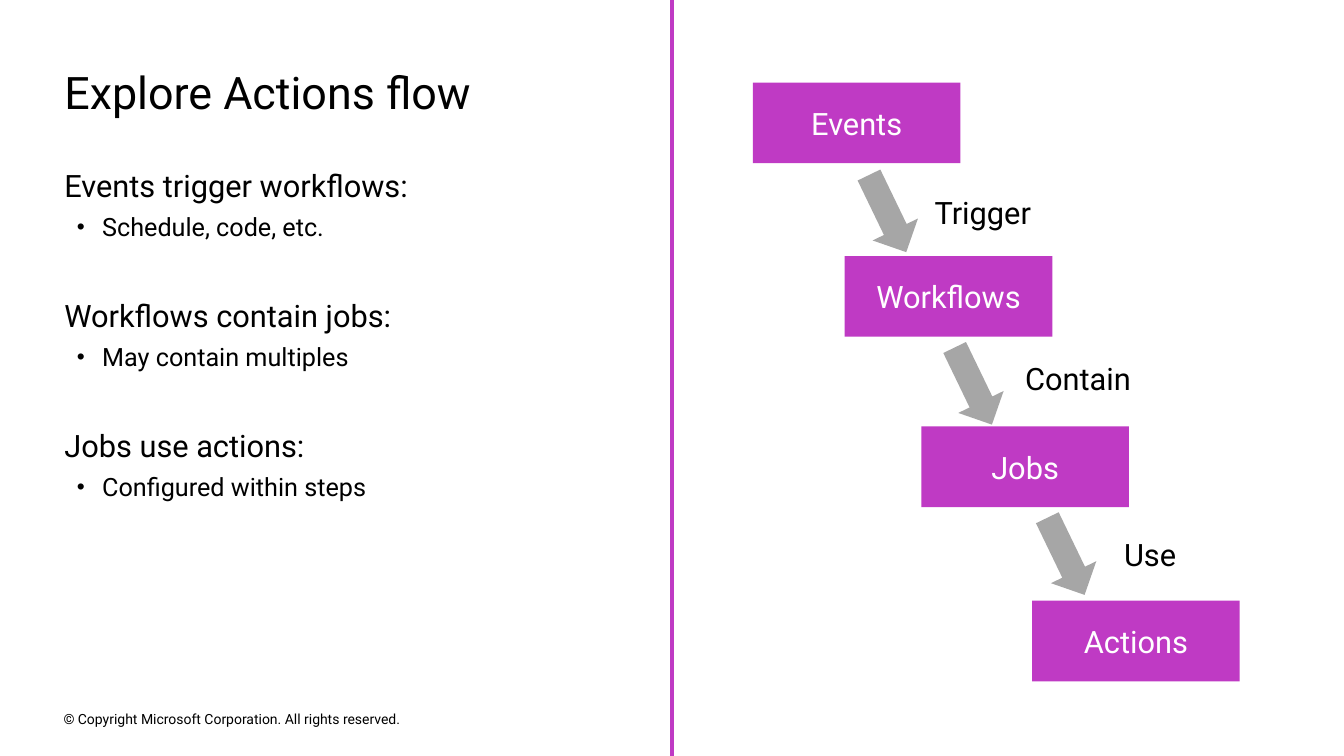
from lxml import etree
from pptx import Presentation
from pptx.dml.color import RGBColor
from pptx.enum import shapes, text
from pptx.oxml import ns
from pptx.util import Pt

FONT = "Roboto"
PURPLE, GRAY, BLACK, WHITE = "BF3AC4", "A6A6A6", "000000", "FFFFFF"
LEFT, WIDTH, HEIGHT = 46, 960, 540
TOPICS = [
    ("Events trigger workflows:", "Schedule, code, etc."),
    ("Workflows contain jobs:", "May contain multiples"),
    ("Jobs use actions:", "Configured within steps"),
]
STAGES = [
    ("Events", 537.8, 59),
    ("Workflows", 603.4, 182.9),
    ("Jobs", 658.1, 304.6),
    ("Actions", 737.3, 429.1),
]
# Arrow left and top, then label, its left, top and width
STEPS = [
    (603.4, 134.6, "Trigger", 650.2, 138.2, 103.7),
    (664.6, 257.8, "Contain", 713.5, 257, 113),
    (730.8, 379.4, "Use", 769.7, 382.3, 103.7),
]


def color(value):
    return RGBColor.from_string(value)


def set_frame(shape, anchor=text.MSO_ANCHOR.TOP, inset_x=0, inset_y=0):
    formats = {
        "margin_left": Pt(inset_x), "margin_right": Pt(inset_x),
        "margin_top": Pt(inset_y), "margin_bottom": Pt(inset_y),
        "word_wrap": True, "vertical_anchor": anchor,
        "auto_size": text.MSO_AUTO_SIZE.NONE,
    }
    for name, value in formats.items():
        setattr(shape.text_frame, name, value)
    return shape.text_frame


def write(paragraph, words, size, ink=BLACK, align=text.PP_ALIGN.LEFT):
    paragraph.text = words
    paragraph.alignment = align
    for name, value in {"size": Pt(size), "name": FONT, "bold": False}.items():
        setattr(paragraph.font, name, value)
    paragraph.font.color.rgb = color(ink)


def add_bullet(paragraph):
    properties = paragraph._p.get_or_add_pPr()
    properties.set("marL", str(Pt(27)))
    properties.set("indent", str(Pt(-18)))
    for tag, name, value in [("a:buSzPct", "val", "90000"),
                             ("a:buFont", "typeface", "Arial"),
                             ("a:buChar", "char", "•")]:
        etree.SubElement(properties, ns.qn(tag)).set(name, value)


def add_label(slide, words, left, top, width, height, size,
              align=text.PP_ALIGN.LEFT):
    box = slide.shapes.add_textbox(Pt(left), Pt(top), Pt(width), Pt(height))
    frame = set_frame(box, text.MSO_ANCHOR.MIDDLE)
    write(frame.paragraphs[0], words, size, align=align)


def add_topic(slide, heading, detail, top):
    box = slide.shapes.add_textbox(Pt(LEFT), Pt(top), Pt(371.5), Pt(55))
    frame = set_frame(box)
    lead = frame.paragraphs[0]
    lead.space_after = Pt(6)
    write(lead, heading, 22)
    point = frame.add_paragraph()
    point.space_after = Pt(12)
    add_bullet(point)
    write(point, detail, 18)


def add_block(slide, kind, left, top, width, height, fill):
    block = slide.shapes.add_shape(kind, Pt(left), Pt(top), Pt(width), Pt(height))
    block.shadow.inherit = False
    block.fill.solid()
    block.fill.fore_color.rgb = color(fill)
    block.line.fill.background()
    return block


def add_stage(slide, name, left, top):
    stage = add_block(slide, shapes.MSO_SHAPE.RECTANGLE, left, top, 148.3, 57.6, PURPLE)
    frame = set_frame(stage, text.MSO_ANCHOR.MIDDLE, 14.4, 11.5)
    write(frame.paragraphs[0], name, 22, WHITE, text.PP_ALIGN.CENTER)


def add_step(slide, arrow_left, arrow_top, label, left, top, width):
    arrow = add_block(slide, shapes.MSO_SHAPE.RIGHT_ARROW, arrow_left, arrow_top,
                      61.2, 36, GRAY)
    arrow.rotation = 64.2
    add_label(slide, label, left, top, width, 26.6, 22, text.PP_ALIGN.CENTER)


def add_divider(slide):
    middle = Pt(WIDTH / 2)
    divider = slide.shapes.add_connector(shapes.MSO_CONNECTOR.STRAIGHT,
                                         middle, 0, middle, Pt(HEIGHT))
    divider.line.color.rgb = color(PURPLE)
    divider.line.width = Pt(3)
    etree.SubElement(divider._element.spPr, ns.qn("a:effectLst"))


def set_title(slide, words):
    title = slide.shapes.title
    title.left, title.top, title.width, title.height = map(Pt, (LEFT, 46, 371, 53.3))
    write(set_frame(title).paragraphs[0], words, 32)


def main():
    deck = Presentation()
    deck.slide_width, deck.slide_height = Pt(WIDTH), Pt(HEIGHT)
    slide = deck.slides.add_slide(deck.slide_layouts.get_by_name("Title Only"))
    set_title(slide, "Explore Actions flow")
    for row, (heading, detail) in enumerate(TOPICS):
        add_topic(slide, heading, detail, 118.8 + 92.9 * row)
    for stage in STAGES:
        add_stage(slide, *stage)
    for step in STEPS:
        add_step(slide, *step)
    add_divider(slide)
    add_label(slide, "© Copyright Microsoft Corporation. All rights reserved.",
              45.4, 505.4, 327, 16, 10)
    deck.save("out.pptx")


if __name__ == "__main__":
    main()
